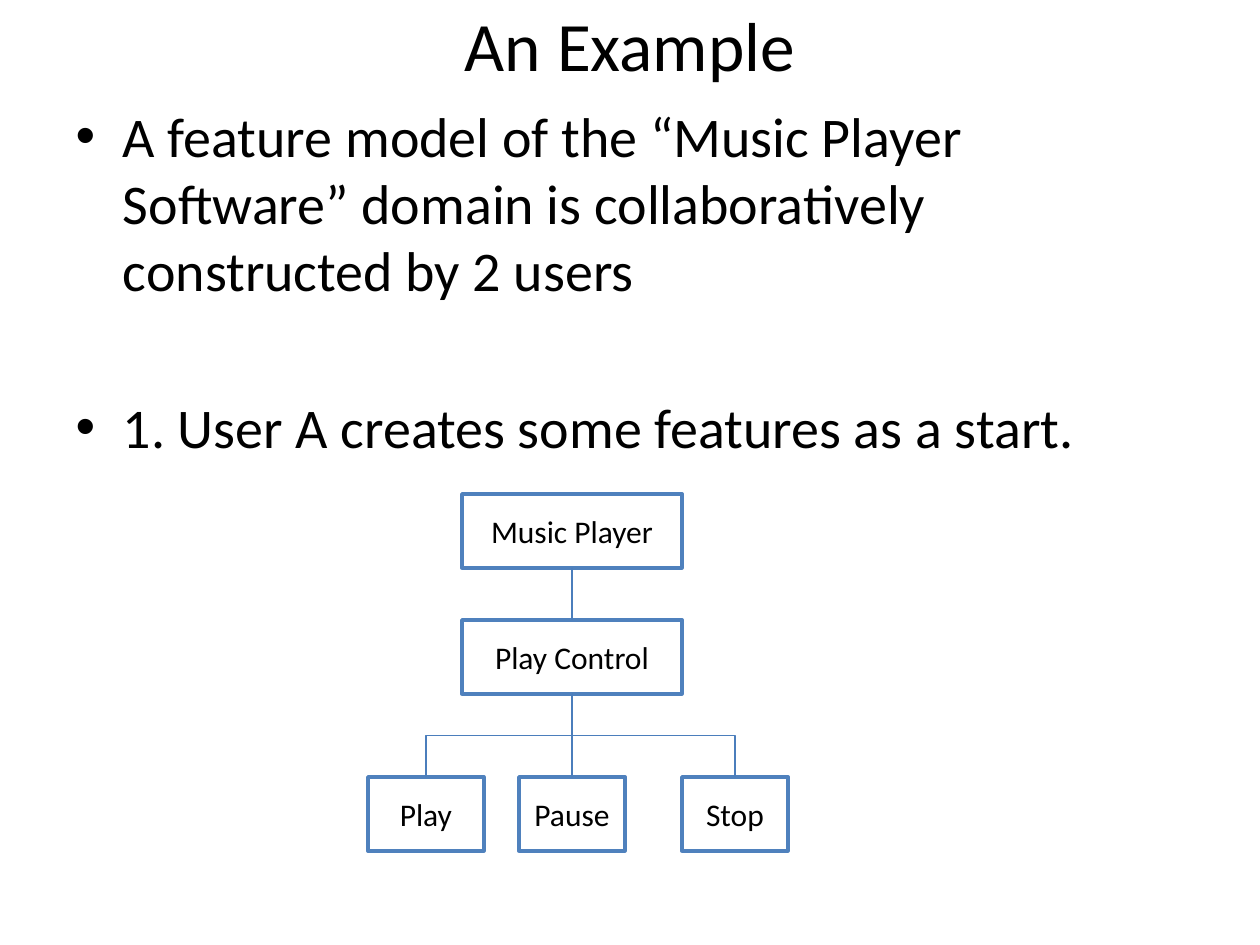
"""Build the slide with the music player feature model."""
from dataclasses import dataclass

from lxml import etree
from pptx import Presentation
from pptx.dml.color import RGBColor
from pptx.enum.shapes import MSO_CONNECTOR, MSO_SHAPE
from pptx.enum.text import MSO_ANCHOR, MSO_AUTO_SIZE, PP_ALIGN
from pptx.oxml.ns import qn
from pptx.util import Pt

RECT = MSO_SHAPE.RECTANGLE
STRAIGHT, ELBOW = MSO_CONNECTOR.STRAIGHT, MSO_CONNECTOR.ELBOW
CENTER, LEFT = PP_ALIGN.CENTER, PP_ALIGN.LEFT
MIDDLE, TOP = MSO_ANCHOR.MIDDLE, MSO_ANCHOR.TOP
TOP_SITE, BOTTOM_SITE = 0, 2

TITLE = "An Example"
BULLETS = [
    "A feature model of the “Music Player Software” domain is "
    "collaboratively constructed by 2 users",
    "1. User A creates some features as a start.",
]
ROW_TOPS = [494, 620, 777]
BOX_HEIGHT = 74
FEATURES = [
    ("Music Player", None, 0, 462, 220),
    ("Play Control", "Music Player", 1, 462, 220),
    ("Play", "Play Control", 2, 368, 116),
    ("Pause", "Play Control", 2, 519, 106),
    ("Stop", "Play Control", 2, 682, 106),
]


@dataclass(frozen=True)
class Theme:
    font: str = "Calibri"
    text: RGBColor = RGBColor(0, 0, 0)
    fill: RGBColor = RGBColor(255, 255, 255)
    border: RGBColor = RGBColor.from_string("4F81BD")
    link: RGBColor = RGBColor.from_string("4B7EBC")
    title_size: float = 39.6
    body_size: float = 32
    box_size: float = 18
    border_width: float = 2
    link_width: float = 0.75
    bullet_gap: float = 51


THEME = Theme()


def px(n):
    return round(n * 914400 / 126)


def place(sp, left, top, width, height):
    sp.left, sp.top, sp.width, sp.height = map(px, (left, top, width, height))


def write(sp, lines, size, align=CENTER, anchor=MIDDLE, gap=0):
    tf = sp.text_frame
    tf.word_wrap = True
    tf.auto_size = MSO_AUTO_SIZE.NONE
    tf.vertical_anchor = anchor
    for i, line in enumerate(lines):
        p = tf.add_paragraph() if i else tf.paragraphs[0]
        p.alignment = align
        p.space_before = Pt(gap if i else 0)
        r = p.add_run()
        r.text = line
        r.font.name = THEME.font
        r.font.size = Pt(size)
        r.font.color.rgb = THEME.text


def add_feature(slide, name, left, top, width):
    sp = slide.shapes.add_shape(RECT, *map(px, (left, top, width, BOX_HEIGHT)))
    sp.shadow.inherit = False
    sp.fill.solid()
    sp.fill.fore_color.rgb = THEME.fill
    sp.line.color.rgb = THEME.border
    sp.line.width = Pt(THEME.border_width)
    sp.text_frame.margin_left = sp.text_frame.margin_right = px(6)
    write(sp, [name], THEME.box_size)
    return sp


def turn_down(cxn, x1, y1, x2, y2):
    run, drop = abs(x2 - x1), y2 - y1
    cxn.left = (x1 + x2 - drop) // 2
    cxn.top = (y1 + y2 - run) // 2
    cxn.width, cxn.height = drop, run
    xfrm = cxn._element.spPr.find(qn("a:xfrm"))
    for name in ("flipH", "flipV"):
        xfrm.attrib.pop(name, None)
    if x2 > x1:
        xfrm.set("rot", "16200000")
        xfrm.set("flipH", "1")
    else:
        xfrm.set("rot", "5400000")


def link(slide, parent, child, kind):
    ends = (parent.left + parent.width // 2, parent.top + parent.height,
            child.left + child.width // 2, child.top)
    cxn = slide.shapes.add_connector(kind, *ends)
    cxn.begin_connect(parent, BOTTOM_SITE)
    cxn.end_connect(child, TOP_SITE)
    if kind == ELBOW:
        turn_down(cxn, *ends)
    cxn.line.color.rgb = THEME.link
    cxn.line.width = Pt(THEME.link_width)
    etree.SubElement(cxn._element.spPr, qn("a:effectLst"))


def main():
    prs = Presentation()
    prs.slide_width, prs.slide_height = px(1260), px(945)
    slide = prs.slides.add_slide(prs.slide_layouts[1])
    title, body = slide.placeholders
    place(title, 63, 0, 1134, 88)
    write(title, [TITLE], THEME.title_size)
    place(body, 63, 95, 1134, 378)
    write(body, BULLETS, THEME.body_size, LEFT, TOP, THEME.bullet_gap)

    boxes = {}
    for name, parent, row, left, width in FEATURES:
        boxes[name] = add_feature(slide, name, left, ROW_TOPS[row], width)
        if parent:
            kind = STRAIGHT if row == 1 else ELBOW
            link(slide, boxes[parent], boxes[name], kind)
    prs.save("out.pptx")


if __name__ == "__main__":
    main()
